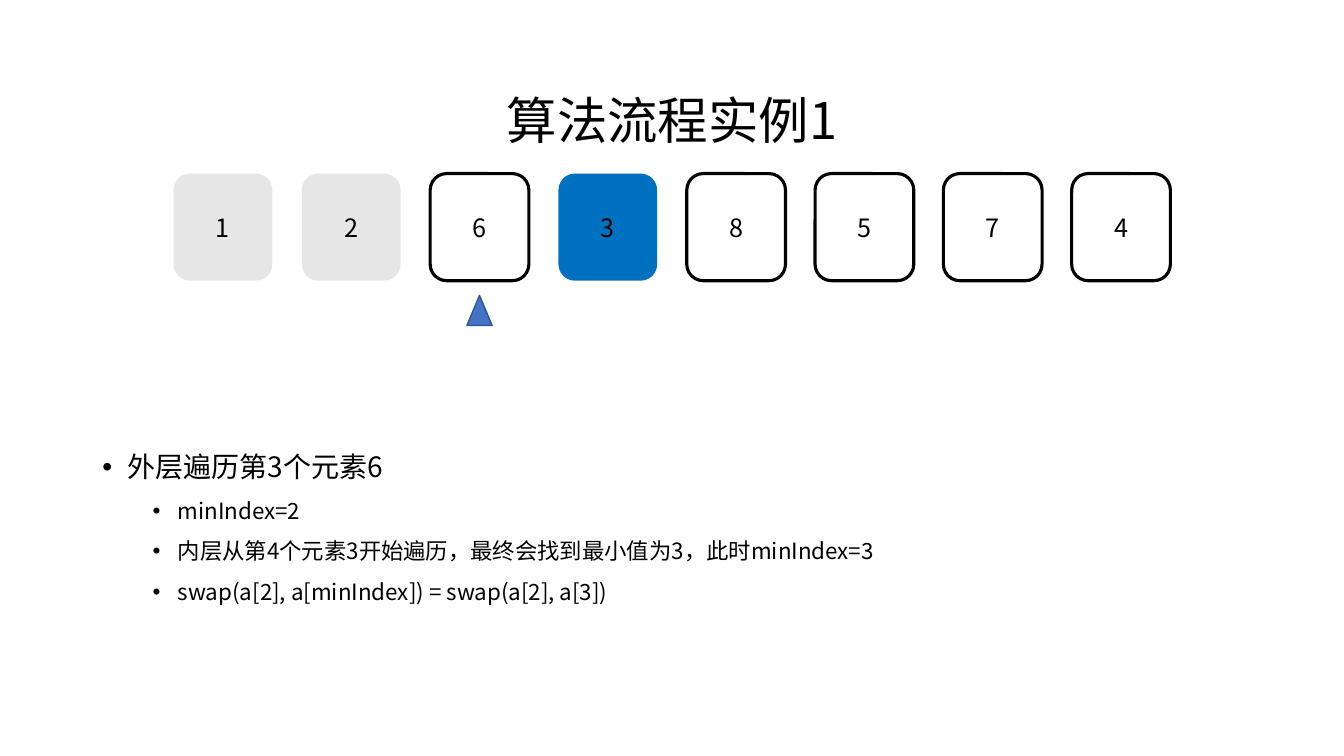
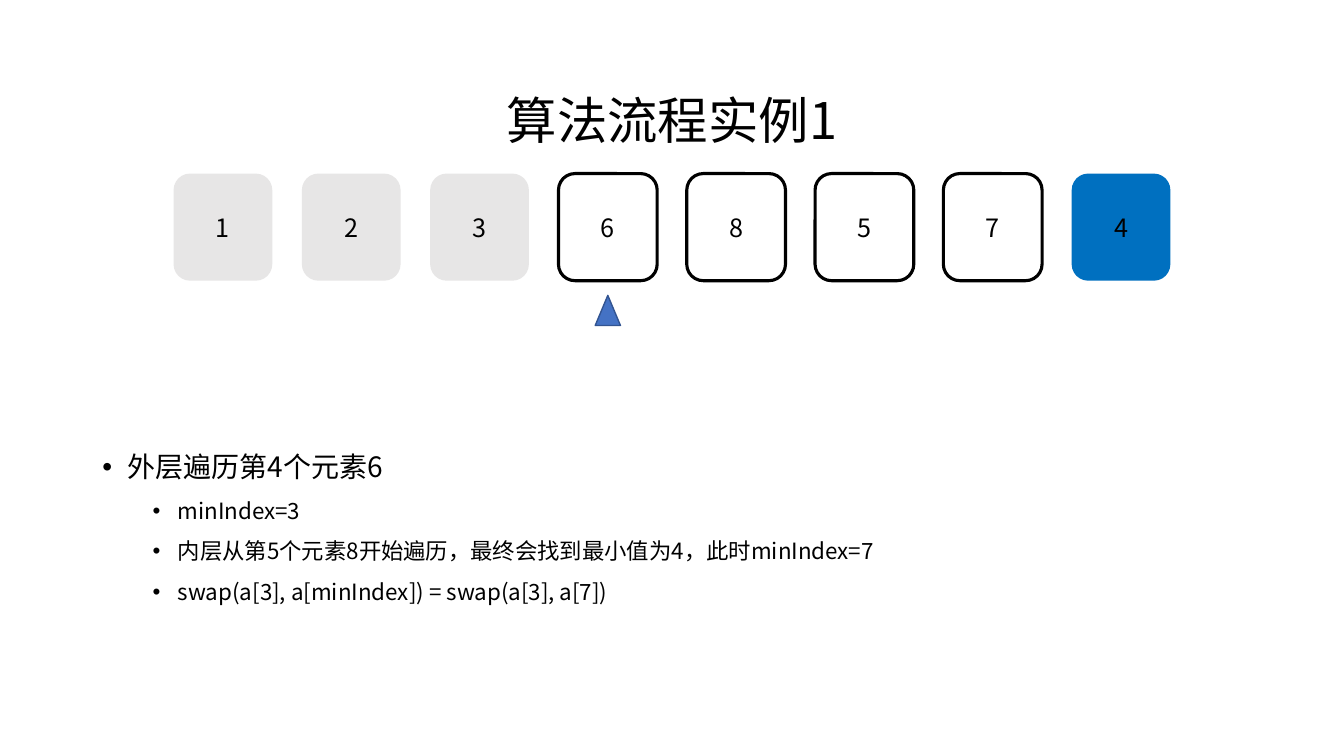
from lxml import etree
from pptx import Presentation
from pptx import util as u
from pptx.dml.color import RGBColor
from pptx.enum import shapes, text
from pptx.oxml.ns import qn

PX = 6350  # EMU in one px, 144 px to the inch
FONT = "Noto Sans CJK SC"
BLACK, GREY, BLUE = "000000", "E7E6E6", "0070C0"
MARKER, MARKER_EDGE = "4472C4", "325491"

TITLE_BOX = (132, 58, 1656, 209)
ROW_BOX = (248, 248, 1424, 153)
NOTES_BOX = (132, 621, 1656, 402)
CELL_WIDTH = 141
MARKER_WIDTH, MARKER_HEIGHT, MARKER_GAP = 36, 43, 21


def emu(*lengths):
    return [u.Emu(round(length * PX)) for length in lengths]


def rgb(value):
    return RGBColor.from_string(value)


def style(paragraph, size):
    for run in paragraph.runs:
        run.font.size = u.Pt(size)
        run.font.name = FONT
        run.font.color.rgb = rgb(BLACK)
        etree.SubElement(run.font._element, qn("a:ea"), typeface=FONT)


def add_bullet(paragraph, indent, hanging):
    props = paragraph._p.get_or_add_pPr()
    props.set("marL", str(indent * PX))
    props.set("indent", str(-hanging * PX))
    etree.SubElement(props, qn("a:buFont"), typeface="Arial")
    etree.SubElement(props, qn("a:buChar"), char="•")


def add_figure(slide, kind, box, fill=None, edge=None, edge_width=1):
    figure = slide.shapes.add_shape(kind, *emu(*box))
    figure.shadow.inherit = False
    if fill:
        figure.fill.solid()
        figure.fill.fore_color.rgb = rgb(fill)
    else:
        figure.fill.background()
    if edge:
        figure.line.color.rgb = rgb(edge)
        figure.line.width = u.Pt(edge_width)
    else:
        figure.line.fill.background()
    return figure


def place_title(slide, box, wording):
    title = slide.shapes.title
    title.left, title.top, title.width, title.height = emu(*box)
    frame = title.text_frame
    frame.text = wording
    frame.auto_size = text.MSO_AUTO_SIZE.NONE
    frame.vertical_anchor = text.MSO_ANCHOR.MIDDLE
    heading = frame.paragraphs[0]
    heading.alignment = text.PP_ALIGN.CENTER
    heading.line_spacing = 1.2
    style(heading, 36)


def place_array(slide, box, values, outer, smallest):
    """Draw the array: sorted cells grey, the smallest blue, a marker under outer."""
    left, top, width, height = box
    pitch = (width - CELL_WIDTH) / (len(values) - 1)
    for index, value in enumerate(values):
        fill = GREY if index < outer else BLUE if index == smallest else None
        cell = add_figure(slide, shapes.MSO_SHAPE.ROUNDED_RECTANGLE,
                          (left + index * pitch, top, CELL_WIDTH, height),
                          fill, None if fill else BLACK, 2.25)
        frame = cell.text_frame
        frame.text = str(value)
        frame.vertical_anchor = text.MSO_ANCHOR.MIDDLE
        frame.paragraphs[0].alignment = text.PP_ALIGN.CENTER
        style(frame.paragraphs[0], 18)
    marker_left = left + outer * pitch + (CELL_WIDTH - MARKER_WIDTH) / 2
    add_figure(slide, shapes.MSO_SHAPE.ISOSCELES_TRIANGLE,
               (marker_left, top + height + MARKER_GAP, MARKER_WIDTH, MARKER_HEIGHT),
               MARKER, MARKER_EDGE)


def place_notes(slide, box, heading, details):
    frame = slide.shapes.add_textbox(*emu(*box)).text_frame
    frame.word_wrap = True
    frame.text = "\n".join([heading, *details])
    for index, paragraph in enumerate(frame.paragraphs):
        paragraph.line_spacing = 1.3
        if index:
            paragraph.level = 1
            paragraph.space_before = u.Pt(4)
        add_bullet(paragraph, 108 if index else 36, 36)
        style(paragraph, 16 if index else 20)


def add_step_slide(deck, values, outer, smallest):
    slide = deck.slides.add_slide(deck.slide_layouts.get_by_name("Title Only"))
    place_title(slide, TITLE_BOX, "算法流程实例1")
    place_array(slide, ROW_BOX, values, outer, smallest)
    place_notes(slide, NOTES_BOX, f"外层遍历第{outer + 1}个元素{values[outer]}", [
        f"minIndex={outer}",
        f"内层从第{outer + 2}个元素{values[outer + 1]}开始遍历，"
        f"最终会找到最小值为{values[smallest]}，此时minIndex={smallest}",
        f"swap(a[{outer}], a[minIndex]) = swap(a[{outer}], a[{smallest}])",
    ])


def main():
    deck = Presentation()
    deck.slide_width, deck.slide_height = emu(1920, 1080)
    values = [1, 2, 6, 3, 8, 5, 7, 4]
    for outer in (2, 3):
        smallest = values.index(min(values[outer:]))
        add_step_slide(deck, values, outer, smallest)
        values[outer], values[smallest] = values[smallest], values[outer]
    deck.save("out.pptx")


if __name__ == "__main__":
    main()
